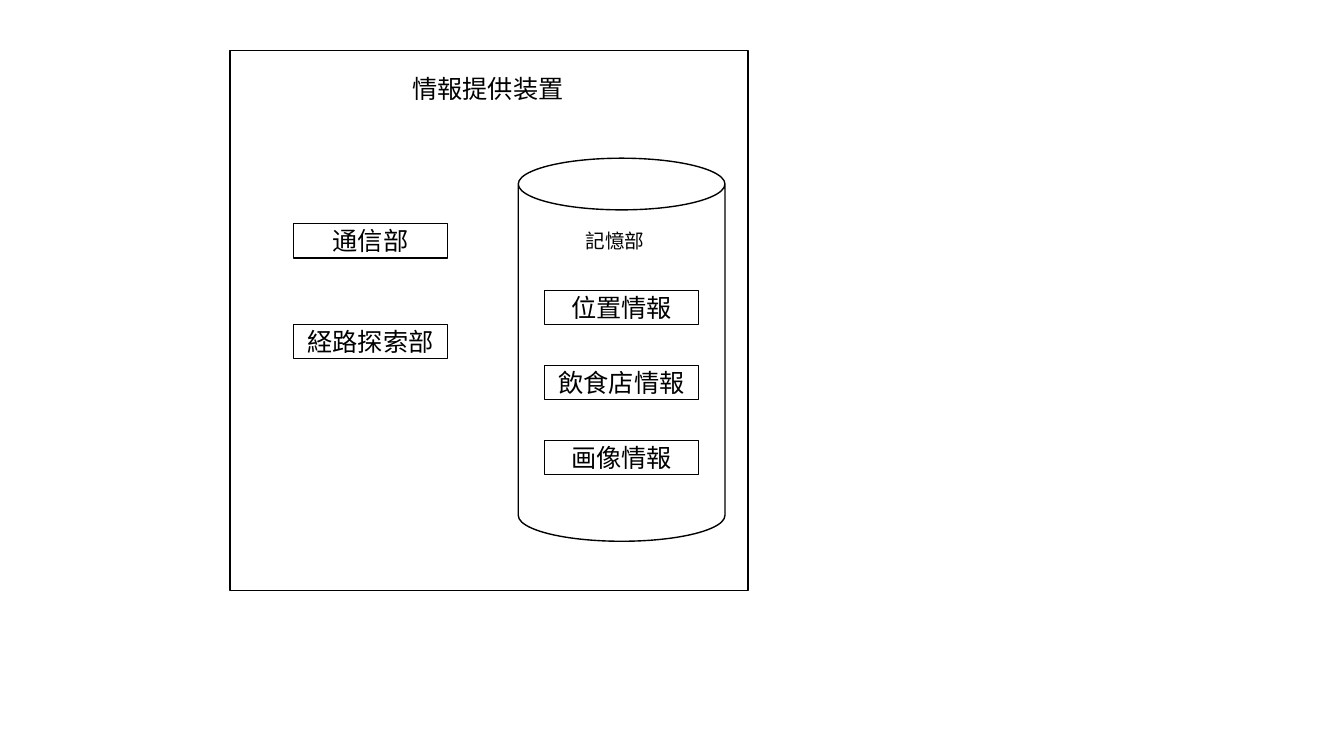
from lxml import etree
from pptx import Presentation
from pptx.dml.color import RGBColor
from pptx.enum.shapes import MSO_SHAPE
from pptx.enum.text import MSO_ANCHOR, MSO_AUTO_SIZE, PP_ALIGN
from pptx.oxml.ns import qn
from pptx.util import Inches, Pt

BLACK = RGBColor(0x00, 0x00, 0x00)
WHITE = RGBColor(0xFF, 0xFF, 0xFF)
FONT = "Noto Sans CJK JP"
RECTANGLE = MSO_SHAPE.RECTANGLE
CAN = MSO_SHAPE.CAN
CENTER = PP_ALIGN.CENTER
MIDDLE = MSO_ANCHOR.MIDDLE
FIT_SHAPE = MSO_AUTO_SIZE.SHAPE_TO_FIT_TEXT

BOX_WIDTH, BOX_HEIGHT = 1.53, 0.34
UNITS = ["通信部", "経路探索部"]
STORED_DATA = ["位置情報", "飲食店情報", "画像情報"]


def write_text(text_frame, text, size):
    text_frame.text = text
    text_frame.word_wrap = False
    font = text_frame.paragraphs[0].runs[0].font
    font.size = Pt(size)
    font.color.rgb = BLACK
    font.name = FONT
    run_properties = text_frame.paragraphs[0].runs[0]._r.get_or_add_rPr()
    etree.SubElement(run_properties, qn("a:ea")).set("typeface", FONT)


def add_outline(slide, kind, left, top, width, height):
    shape = slide.shapes.add_shape(
        kind, Inches(left), Inches(top), Inches(width), Inches(height)
    )
    shape.shadow.inherit = False
    shape.fill.solid()
    shape.fill.fore_color.rgb = WHITE
    shape.line.color.rgb = BLACK
    shape.line.width = Pt(1)
    return shape


def add_heading(slide, text, left, top, width, height, size):
    heading = slide.shapes.add_textbox(
        Inches(left), Inches(top), Inches(width), Inches(height)
    )
    write_text(heading.text_frame, text, size)
    heading.text_frame.auto_size = FIT_SHAPE


def add_box_column(slide, labels, left, top, pitch):
    for index, label in enumerate(labels):
        box = add_outline(
            slide, RECTANGLE, left, top + index * pitch, BOX_WIDTH, BOX_HEIGHT
        )
        write_text(box.text_frame, label, 18)
        box.text_frame.vertical_anchor = MIDDLE
        box.text_frame.paragraphs[0].alignment = CENTER


def main():
    presentation = Presentation()
    presentation.slide_width = Inches(13.33)
    presentation.slide_height = Inches(7.5)
    slide = presentation.slides.add_slide(presentation.slide_layouts[6])

    add_outline(slide, RECTANGLE, 2.28, 0.5, 5.14, 5.36)
    add_outline(slide, CAN, 5.14, 1.57, 2.05, 3.8)
    add_heading(slide, "情報提供装置", 3.99, 0.68, 1.72, 0.4, 18)
    add_heading(slide, "記憶部", 5.71, 2.22, 0.79, 0.34, 14)
    add_box_column(slide, STORED_DATA, 5.4, 2.88, 0.745)
    add_box_column(slide, UNITS, 2.91, 2.22, 1)

    presentation.save("out.pptx")


if __name__ == "__main__":
    main()
